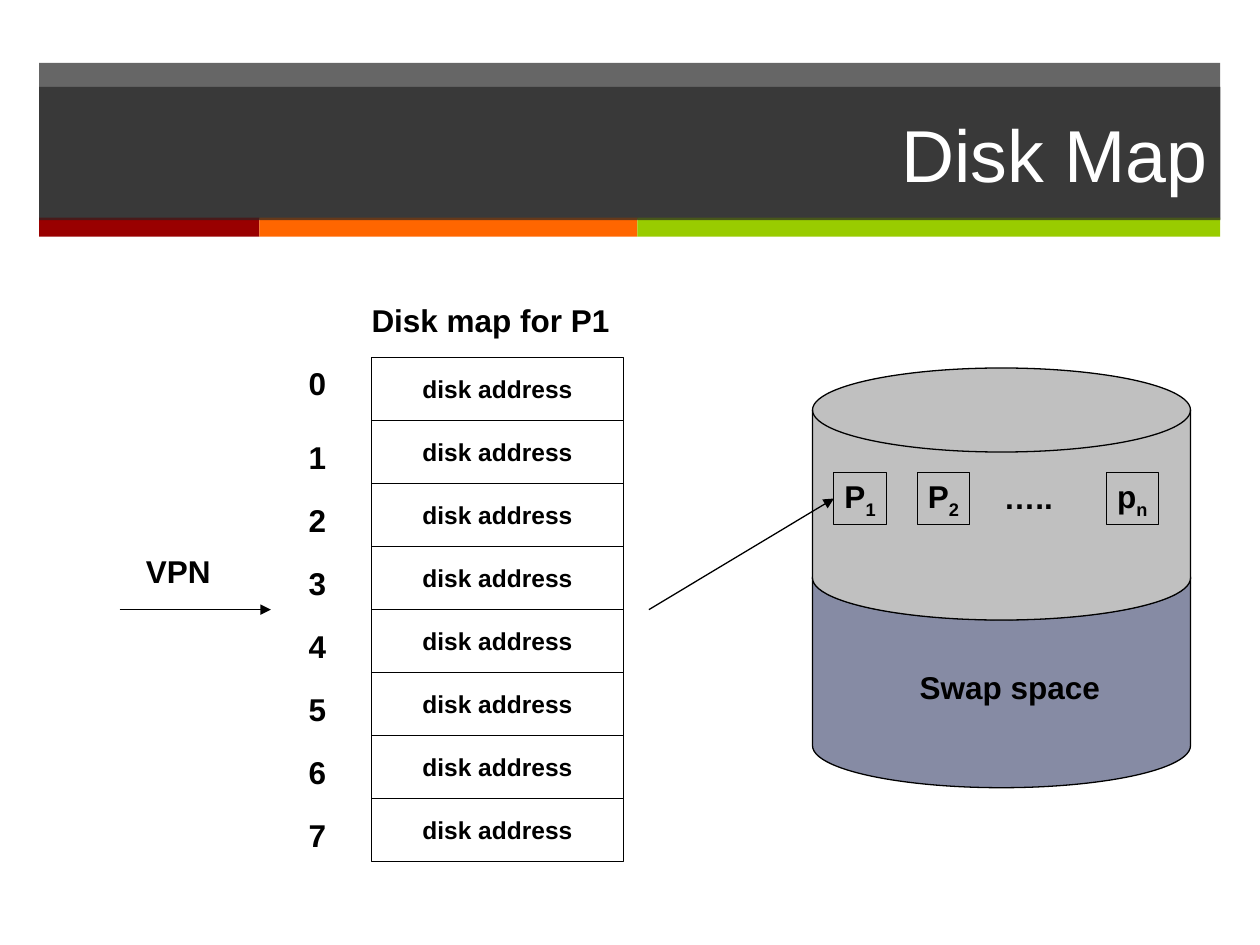
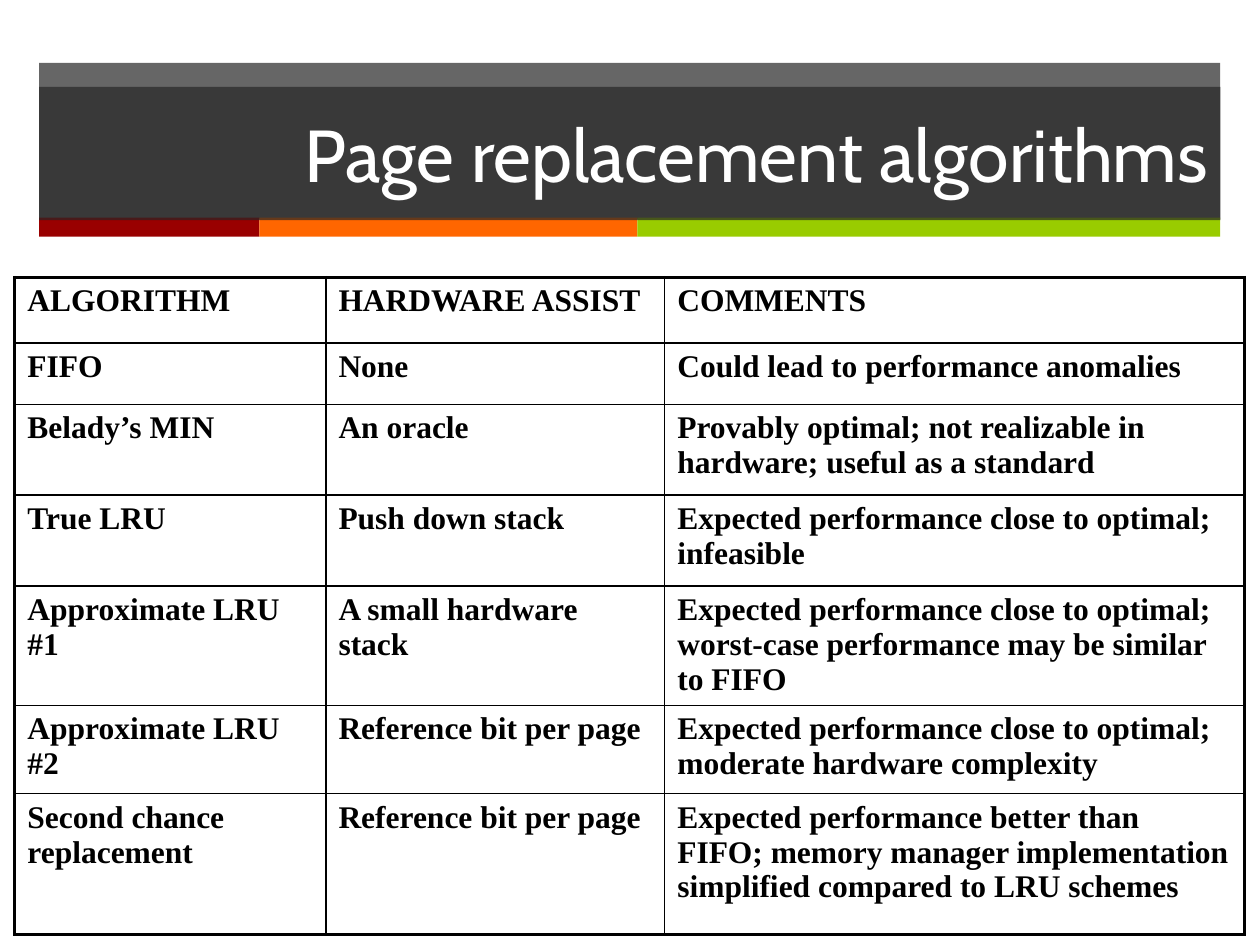
"""Build two slides: a disk map diagram and a table of page replacement algorithms."""
from dataclasses import dataclass

from lxml import etree
from pptx import Presentation
from pptx import util as u
from pptx.dml.color import RGBColor as Rgb
from pptx.enum import shapes as sh, text as tx
from pptx.oxml import ns


@dataclass
class Theme:
    ink: str = "000000"
    pale: str = "FFFFFF"
    dark: str = "262626"
    bands: tuple = (("990000", 4.44), ("FF6600", 7.62), ("99CC00", 11.75))
    swap: str = "868BA4"
    disk: str = "C0C0C0"
    sans: str = "Arial"
    head: str = "Cabin"
    serif: str = "Times New Roman"
    big: int = 42
    body: int = 18
    small: int = 14
    thin: float = 0.75


T = Theme()
RECT = sh.MSO_SHAPE.RECTANGLE
DISK = sh.MSO_SHAPE.FLOWCHART_MAGNETIC_DISK


def draw(page, kind, area, fill=None, line=None):
    """Add a preset shape, its area given in centimetres."""
    item = page.shapes.add_shape(kind, *map(u.Cm, area))
    item.shadow.inherit = False
    if fill:
        item.fill.solid()
        item.fill.fore_color.rgb = Rgb.from_string(fill)
    else:
        item.fill.background()
    if line:
        item.line.color.rgb = Rgb.from_string(line)
        item.line.width = u.Pt(T.thin)
    else:
        item.line.fill.background()
    return item


def write(frame, runs, size=T.body, face=T.sans, ink=T.ink, bold=True, align=tx.PP_ALIGN.LEFT):
    """Fill a text frame with runs; each run after the first is a subscript."""
    para = frame.paragraphs[0]
    para.alignment = align
    for n, words in enumerate(runs):
        run = para.add_run()
        run.text = words
        run.font.size = u.Pt(size)
        run.font.name = face
        run.font.bold = bold
        run.font.color.rgb = Rgb.from_string(ink)
        if n:
            run._r.get_or_add_rPr().set("baseline", "-25000")


deck = Presentation()
deck.slide_width, deck.slide_height = u.Cm(25.4), u.Cm(19.05)

pages = []
for name, face in (("Disk Map", T.sans), ("Page replacement algorithms", T.head)):
    page = deck.slides.add_slide(deck.slide_layouts[5])
    pages.append(page)
    back = draw(page, RECT, (0.79, 1.27, 23.81, 3.15), T.dark)
    left = 0.79
    for tint, wide in T.bands:
        draw(page, RECT, (left, 4.39, wide, 0.38), tint)
        left += wide
    title = page.shapes.title
    title.left, title.top, title.width, title.height = map(u.Cm, (0.79, 1.75, 23.81, 2.69))
    title.fill.solid()
    title.fill.fore_color.rgb = Rgb.from_string(T.dark)
    for item in (back, title):
        tone = item._element.spPr.find(".//" + ns.qn("a:srgbClr"))
        etree.SubElement(tone, ns.qn("a:alpha"), val="70000")
    frame = title.text_frame
    frame.auto_size = tx.MSO_AUTO_SIZE.NONE
    frame.vertical_anchor = tx.MSO_ANCHOR.MIDDLE
    write(frame, [name], T.big, face, T.pale, False, tx.PP_ALIGN.RIGHT)
    page.shapes.element.append(title._element)

page = pages[0]
draw(page, DISK, (16.38, 10.8, 7.62, 5.08), T.swap, T.ink)
draw(page, DISK, (16.38, 7.42, 7.62, 5.08), T.disk, T.ink)

slots = [((16.81, 9.52, 1.06, 1.06), ["P", "1"], T.body),
         ((18.49, 9.52, 1.06, 1.06), ["P", "2"], T.body),
         ((22.3, 9.52, 1.06, 1.06), ["p", "n"], T.body)]
step = 1.27
labels = [("Swap space", 18.29, 13.34, 4.14), ("…..", 19.99, 9.52, 1.5),
          ("VPN", 2.69, 11.0, 2.16), ("Disk map for P1", 7.24, 5.94, 5.31)]
for n in range(8):
    slots.append(((7.49, 7.21 + n * step, 5.08, step), ["disk address"], T.small))
    labels.append((str(n), 5.97, 7.44 + n * step if n else 7.21, 1.22))

cells = []
for area, runs, size in slots:
    cell = draw(page, RECT, area, line=T.ink)
    frame = cell.text_frame
    frame.word_wrap = False
    frame.vertical_anchor = tx.MSO_ANCHOR.MIDDLE
    write(frame, runs, size, align=tx.PP_ALIGN.CENTER)
    cells.append(cell)

for words, left, top, wide in labels:
    frame = page.shapes.add_textbox(*map(u.Cm, (left, top, wide, 1.02))).text_frame
    frame.word_wrap = False
    write(frame, [words])

for ends, goal in (((2.41, 12.29, 5.46, 12.29), None), ((13.08, 12.29, 16.81, 10.05), cells[0])):
    arrow = page.shapes.add_connector(sh.MSO_CONNECTOR.STRAIGHT, *map(u.Cm, ends))
    if goal:
        arrow.end_connect(goal, 1)
    arrow.line.color.rgb = Rgb.from_string(T.ink)
    arrow.line.width = u.Pt(T.thin)
    etree.SubElement(arrow.line._get_or_add_ln(), ns.qn("a:tailEnd"), type="triangle")
    etree.SubElement(arrow._element.spPr, ns.qn("a:effectLst"))

rows = [
    ("ALGORITHM", "HARDWARE ASSIST", "COMMENTS"),
    ("FIFO", "None", "Could lead to performance anomalies"),
    ("Belady’s MIN", "An oracle",
     "Provably optimal; not realizable in hardware; useful as a standard"),
    ("True LRU", "Push down stack", "Expected performance close to optimal; infeasible"),
    ("Approximate LRU #1", "A small hardware stack",
     "Expected performance close to optimal; worst-case performance may be similar to FIFO"),
    ("Approximate LRU #2", "Reference bit per page",
     "Expected performance close to optimal; moderate hardware complexity"),
    ("Second chance replacement", "Reference bit per page",
     "Expected performance better than FIFO; memory manager implementation "
     "simplified compared to LRU schemes"),
]
wides = (6.27, 6.83, 11.68)
talls = (1.32, 1.24, 1.83, 1.83, 2.41, 1.78, 2.84)
area = map(u.Cm, (0.3, 5.59, sum(wides), sum(talls)))
grid = pages[1].shapes.add_table(len(rows), len(wides), *area).table
grid.first_row = grid.horz_banding = False
for col, wide in zip(grid.columns, wides):
    col.width = u.Cm(wide)
for row, tall in zip(grid.rows, talls):
    row.height = u.Cm(tall)

for r, row in enumerate(rows):
    for c, words in enumerate(row):
        cell = grid.cell(r, c)
        write(cell.text_frame, [words], face=T.serif)
        props = cell._tc.get_or_add_tcPr()
        outer = {"L": c == 0, "R": c == len(wides) - 1, "T": r == 0, "B": r == len(rows) - 1}
        for side, edge in outer.items():
            rule = etree.SubElement(props, ns.qn("a:ln" + side), w=str(u.Pt(2 if edge else 1)))
            paint = etree.SubElement(rule, ns.qn("a:solidFill"))
            etree.SubElement(paint, ns.qn("a:srgbClr"), val=T.ink)
        cell.fill.background()

deck.save("out.pptx")
